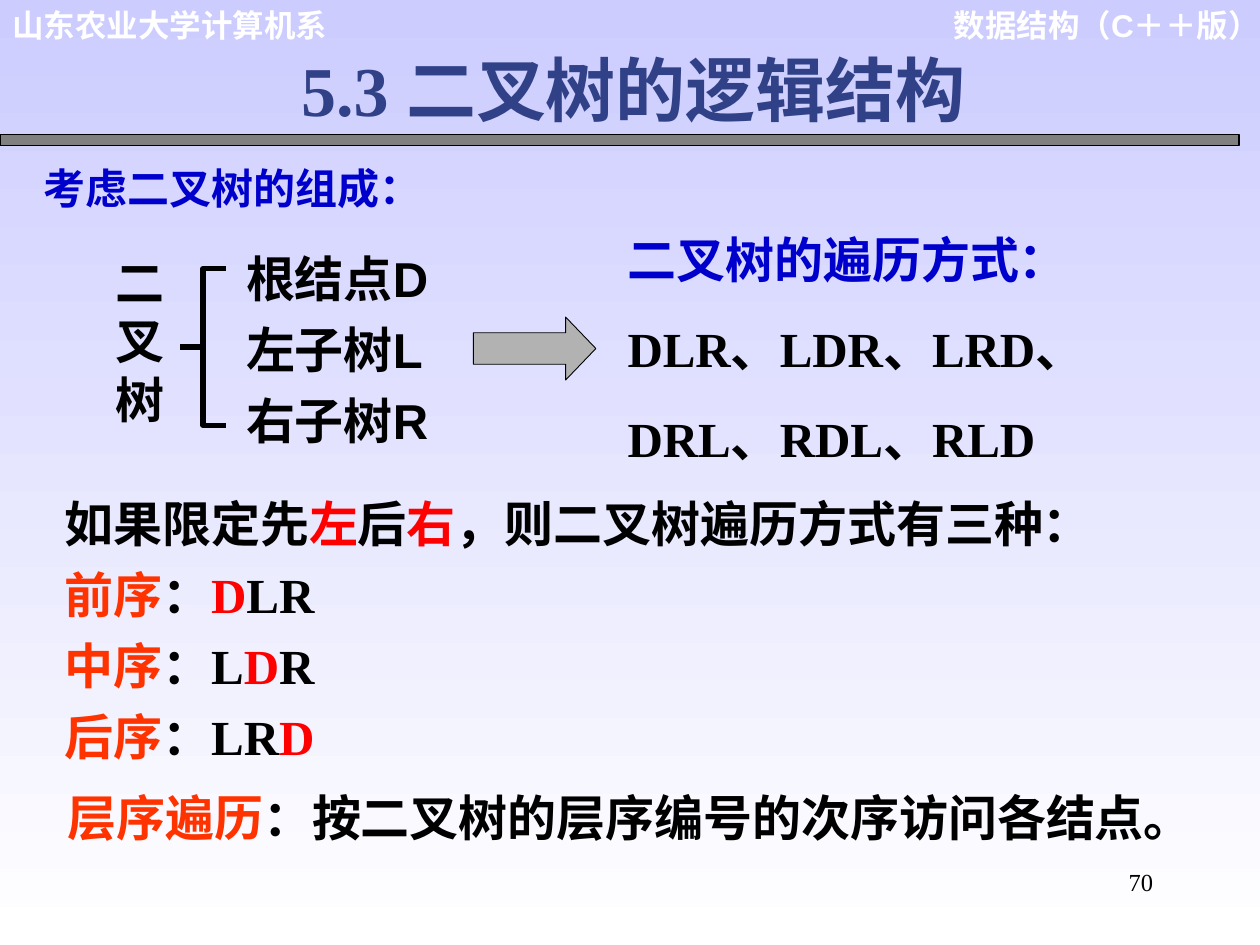
import pptx
import pptx.dml.color
import pptx.enum.shapes
import pptx.enum.text
import pptx.oxml.ns
import pptx.util
import lxml.etree

Pt = pptx.util.Pt
RGB = pptx.dml.color.RGBColor
Shape = pptx.enum.shapes.MSO_SHAPE
Align = pptx.enum.text.PP_ALIGN

BLACK = RGB(0, 0, 0)
WHITE = RGB(255, 255, 255)
LILAC = RGB(0xCC, 0xCC, 0xFF)
NAVY = RGB(0x31, 0x41, 0x87)
BLUE = RGB(0, 0, 0xCC)
RED = RGB(255, 0, 0)
ORANGE = RGB(0xFF, 0x33, 0)
GREY = RGB(0x80, 0x80, 0x80)
SILVER = RGB(0xB2, 0xB2, 0xB2)

ARIAL = "Arial"
TIMES = "Times New Roman"
NOTO = "Noto Sans CJK SC"


def assign(target, values):
    for name, value in values.items():
        setattr(target, name, value)


class Painter:
    def __init__(self, deck):
        self.slide = deck.slides.add_slide(deck.slide_layouts[6])
        self.frame = {
            "word_wrap": True,
            "margin_left": Pt(7.2), "margin_right": Pt(7.2),
            "margin_top": Pt(3.6), "margin_bottom": Pt(3.6),
        }

    def shade(self, top, bottom):
        fill = self.slide.background.fill
        fill.gradient()
        fill.gradient_angle = 270
        for stop, color in zip(fill.gradient_stops, (top, bottom)):
            stop.color.rgb = color

    def text(self, box, lines, size=28, font=TIMES, color=BLACK,
             align=Align.LEFT, gap=0, bold=True):
        shape = self.slide.shapes.add_textbox(*map(Pt, box))
        frame = shape.text_frame
        assign(frame, self.frame)
        for index, line in enumerate(lines):
            para = frame.paragraphs[0] if index == 0 else frame.add_paragraph()
            para.alignment = align
            para.space_before = Pt(gap if index else 0)
            for part in [line] if isinstance(line, str) else line:
                words, style = (part, {}) if isinstance(part, str) else part
                self.run(para, words, size, style.get("font", font),
                         style.get("color", color), bold)

    def run(self, para, words, size, font, color, bold):
        run = para.add_run()
        run.text = words
        assign(run.font, {"size": Pt(size), "bold": bold, "name": font})
        run.font.color.rgb = color
        east = lxml.etree.SubElement(run.font._element, pptx.oxml.ns.qn("a:ea"))
        east.set("typeface", NOTO)

    def paint(self, shape, fill, width):
        shape.shadow.inherit = False
        if fill is None:
            shape.fill.background()
        else:
            shape.fill.solid()
            shape.fill.fore_color.rgb = fill
        shape.line.color.rgb = BLACK
        shape.line.width = Pt(width)

    def block(self, kind, box, fill, width, tweaks=()):
        shape = self.slide.shapes.add_shape(kind, *map(Pt, box))
        for index, value in enumerate(tweaks):
            shape.adjustments[index] = value
        self.paint(shape, fill, width)

    def bracket(self, left, top, width, height):
        mid, right = left + width / 2, left + width
        base, half = top + height, top + height / 2
        form = self.slide.shapes.build_freeform(Pt(right), Pt(top))
        arms = [(mid, top), (mid, base), (right, base)]
        form.add_line_segments([(Pt(x), Pt(y)) for x, y in arms], close=False)
        form.move_to(Pt(left), Pt(half))
        form.add_line_segments([(Pt(mid), Pt(half))], close=False)
        self.paint(form.convert_to_shape(), None, 3)


def series(*orders):
    parts = []
    for order in orders:
        parts += [order, ("、", {"font": NOTO})]
    return parts


def main():
    deck = pptx.Presentation()
    assign(deck, {"slide_width": Pt(720), "slide_height": Pt(540)})
    art = Painter(deck)
    art.shade(LILAC, WHITE)
    red, orange = {"color": RED}, {"color": ORANGE}

    head = {"size": 18, "font": ARIAL, "color": WHITE}
    art.text((532, 0, 195, 50), ["数据结构（C＋＋版）"], align=Align.RIGHT, **head)
    art.text((0, 0, 195, 29), ["山东农业大学计算机系"], **head)
    art.block(Shape.RECTANGLE, (0, 77, 708, 6), GREY, 0.75)
    art.text((516, 492, 150, 36), ["70"], size=14, align=Align.RIGHT, bold=False)

    art.text((351.5, 127.5, 350, 143), [
        [("二叉树的遍历方式：", {"font": NOTO, "color": BLUE})],
        series("DLR", "LDR", "LRD"),
        series("DRL", "RDL", "RLD")[:-1],
    ], gap=17.5)
    art.text((29.7, 278.6, 666, 163), [
        ["如果限定先", ("左", red), "后", ("右", red), "，则二叉树遍历方式有三种："],
        [("前序", orange), "：", ("D", red), "LR"],
        [("中序", orange), "：L", ("D", red), "R"],
        [("后序", orange), "：LR", ("D", red)],
    ], gap=7)
    art.text((31.5, 446.2, 664, 41),
             [[("层序遍历", orange), "：按二叉树的层序编号的次序访问各结点。"]], font=NOTO)
    art.text((165, 23, 459, 55), ["5.3 二叉树的逻辑结构"], size=40, color=NAVY,
             align=Align.JUSTIFY)
    art.text((18, 89.3, 672, 36), ["考虑二叉树的组成："], size=24, font=NOTO, color=BLUE)

    art.bracket(103, 153.5, 26, 89.5)
    art.text((133.5, 138.5, 132, 122), ["根结点D", "左子树L", "右子树R"],
             font=ARIAL, gap=7)
    art.text((58, 140.5, 44, 108), ["二叉树"], font=ARIAL, align=Align.CENTER)
    art.block(Shape.RIGHT_ARROW, (270.5, 181.2, 70, 36), SILVER, 0.5, (0.5, 0.48))
    deck.save("out.pptx")


if __name__ == "__main__":
    main()
